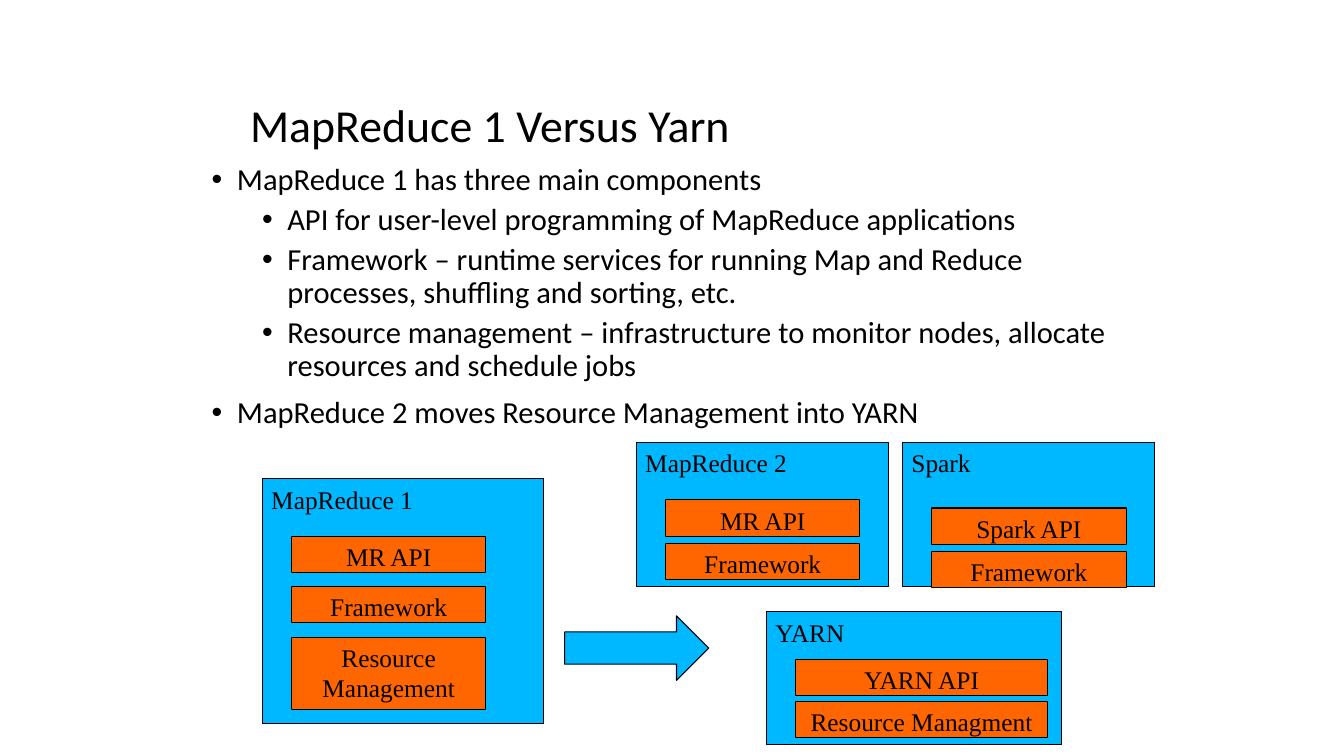
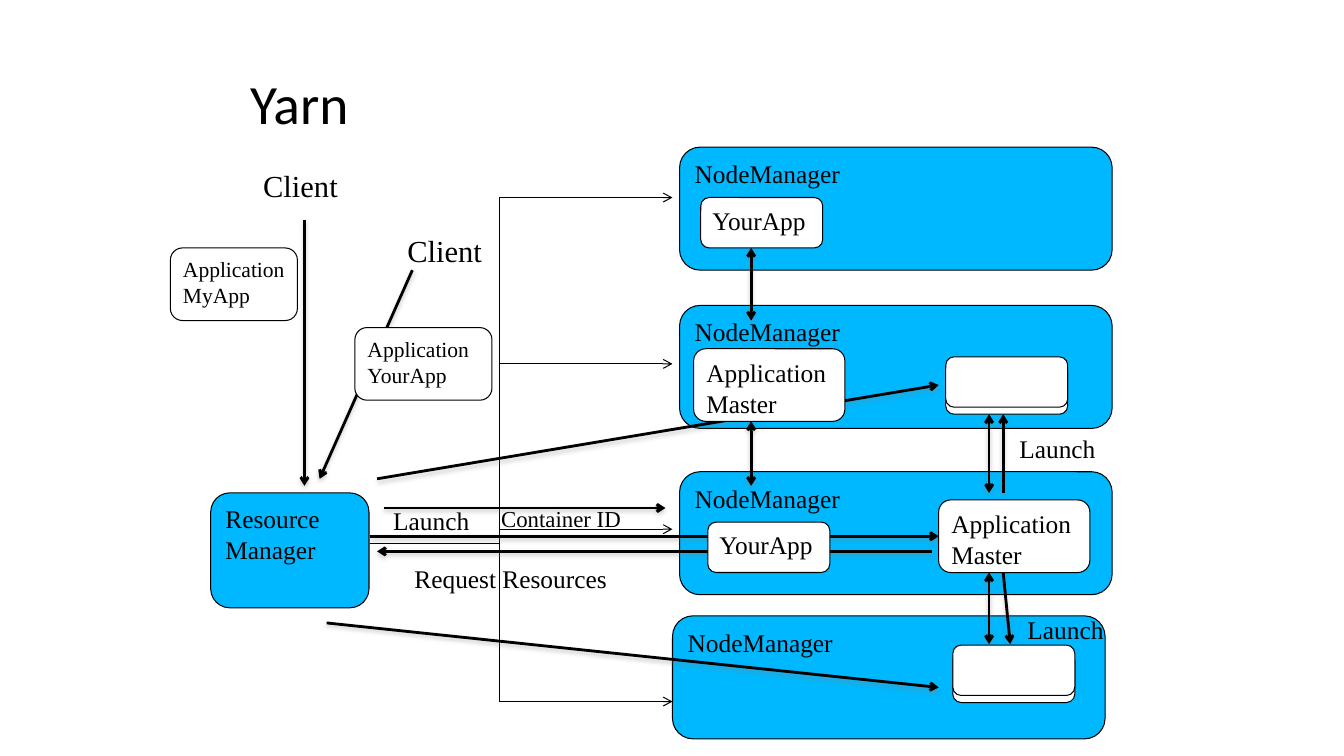
from lxml import etree
from pptx import Presentation
from pptx.dml.color import RGBColor
from pptx.enum.shapes import MSO_CONNECTOR, MSO_SHAPE
from pptx.enum.text import MSO_ANCHOR, MSO_AUTO_SIZE, PP_ALIGN
from pptx.oxml.ns import qn
from pptx.util import Inches, Pt

# Shared style
BLACK, WHITE, BLUE, ORANGE, GREY = "000000", "FFFFFF", "00B8FF", "FF6600", "808080"
HEADING_FONT, DIAGRAM_FONT = "Calibri", "Times New Roman"
INSETS = {"margin_left": Inches(0.09), "margin_right": Inches(0.09),
          "margin_top": Inches(0.05), "margin_bottom": Inches(0.05)}
BOX_FRAME = {"word_wrap": True, "vertical_anchor": MSO_ANCHOR.TOP, **INSETS}
LABEL_FRAME = {"word_wrap": False, "vertical_anchor": MSO_ANCHOR.TOP, **INSETS}
TITLE_FRAME = {"auto_size": MSO_AUTO_SIZE.NONE, "vertical_anchor": MSO_ANCHOR.MIDDLE}
BODY_FRAME = {"auto_size": MSO_AUTO_SIZE.NONE, "vertical_anchor": MSO_ANCHOR.TOP}
TITLE_LAYOUT, BODY_LAYOUT = 5, 1

# Slide 1 content
COMPARISON_TITLE = "MapReduce 1 Versus Yarn"
BULLETS = [
    (0, "MapReduce 1 has three main components"),
    (1, "API for user-level programming of MapReduce applications"),
    (1, "Framework – runtime services for running Map and Reduce processes, "
        "shuffling and sorting, etc."),
    (1, "Resource management – infrastructure to monitor nodes, allocate "
        "resources and schedule jobs"),
    (0, "MapReduce 2 moves Resource Management into YARN"),
]
# Name, outer box, first part offset, part pitch, part width, parts (text, height)
STACKS = [
    ("MapReduce 1", (2.6, 4.75, 2.79, 2.43), 0.57, 0.5, 1.93,
     [("MR API", 0.36), ("Framework", 0.36), ("Resource Management", 0.72)]),
    ("MapReduce 2", (6.31, 4.39, 2.5, 1.43), 0.57, 0.43, 1.93,
     [("MR API", 0.36), ("Framework", 0.36)]),
    ("YARN", (7.6, 6.07, 2.93, 1.32), 0.47, 0.42, 2.5,
     [("YARN API", 0.36), ("Resource Managment", 0.36)]),
    ("Spark", (8.95, 4.39, 2.5, 1.43), 0.65, 0.43, 1.93,
     [("Spark API", 0.36), ("Framework", 0.36)]),
]
PART_INSET = 0.29
MIGRATION_ARROW = (5.6, 6.11, 1.43, 0.64)

# Slide 2 content
YARN_TITLE = "Yarn"
RESOURCE_MANAGER = ("Resource Manager", (2.09, 4.89, 1.57, 1.14))
NODE_SIZE = (4.29, 1.22)
NODES = [(6.74, 1.46), (6.74, 3.03), (6.74, 4.68), (6.67, 6.11)]
BUS_X, BUS_END, BUS_START = 4.95, 6.67, (3.67, 5.39)
BUS_ROWS = [1.96, 3.61, 5.25, 6.96]
ONE_WAY = [
    ((9.95, 4.89), (9.95, 4.11)), ((9.95, 5.68), (10.02, 6.39)),
    ((3.02, 2.18), (3.02, 4.82)), ((3.81, 5.04), (6.6, 5.04)),
    ((9.24, 5.47), (3.74, 5.47)), ((3.74, 4.75), (9.31, 3.82)),
    ((3.24, 6.18), (9.31, 6.82)), ((3.67, 5.32), (9.31, 5.32)),
    ((4.09, 2.68), (3.17, 4.75)),
]
TWO_WAY = [
    ((9.81, 4.11), (9.81, 4.89)), ((9.81, 5.68), (9.81, 6.39)),
    ((7.45, 2.46), (7.45, 3.18)), ((7.45, 4.18), (7.45, 4.82)),
]
CONTAINER_SIZE, CONTAINER_OFFSET = (1.21, 0.5), 0.07
CONTAINER_PAIRS = [(9.38, 3.54), (9.45, 6.4)]
PROCESSES = [
    ("Application Master", (9.31, 4.96, 1.5, 0.72), 18.1),
    ("Application Master", (6.88, 3.46, 1.5, 0.72), 18.1),
    ("Application MyApp", (1.69, 2.46, 1.26, 0.72), 15.4),
    ("Application YourApp", (3.52, 3.25, 1.36, 0.72), 15.4),
    ("YourApp", (6.95, 1.96, *CONTAINER_SIZE), 18.1),
    ("YourApp", (7.02, 5.18, *CONTAINER_SIZE), 18.1),
]
LABELS = [
    ("Client", (2.52, 1.61, 0.93, 0.46), 21.8),
    ("Client", (3.95, 2.25, 0.93, 0.46), 21.8),
    ("Launch", (3.81, 4.96, 0.95, 0.4), 18.1),
    ("Launch", (10.02, 4.25, 0.95, 0.4), 18.1),
    ("Launch", (10.1, 6.04, 0.95, 0.4), 18.1),
    ("Request Resources", (4.02, 5.54, 2.11, 0.4), 18.1),
    ("Container ID", (4.88, 4.96, 1.38, 0.37), 16.3),
]


def colour(hex_value):
    return RGBColor.from_string(hex_value)


def set_all(target, values):
    for name, value in values.items():
        setattr(target, name, value)


def inches(values):
    return [Inches(value) for value in values]


def move(shape, box):
    set_all(shape, dict(zip(("left", "top", "width", "height"), inches(box))))


def write(paragraph, text, size, font=DIAGRAM_FONT, align=PP_ALIGN.LEFT):
    paragraph.alignment = align
    run = paragraph.add_run()
    run.text = text
    set_all(run.font, {"size": Pt(size), "name": font})
    run.font.color.rgb = colour(BLACK)


def add_slide(presentation, layout, title, top, size):
    slide = presentation.slides.add_slide(presentation.slide_layouts[layout])
    shape = slide.shapes.title
    move(shape, (2.38, top, 8.9, 0.76))
    set_all(shape.text_frame, TITLE_FRAME)
    paragraph = shape.text_frame.paragraphs[0]
    paragraph.line_spacing = 0.9
    write(paragraph, title, size, HEADING_FONT)
    return slide


def add_bullets(shape, items):
    move(shape, (2, 1.58, 9.45, 5.38))
    frame = shape.text_frame
    set_all(frame, BODY_FRAME)
    for index, (level, text) in enumerate(items):
        paragraph = frame.add_paragraph() if index else frame.paragraphs[0]
        properties = paragraph._p.get_or_add_pPr()
        properties.set("marL", str(Inches(0.25 + 0.5 * level)))
        properties.set("indent", str(Inches(-0.25)))
        etree.SubElement(properties, qn("a:buChar"), char="•")
        before = (5 if level else 10) if index else 0
        set_all(paragraph, {"level": level, "line_spacing": 0.9,
                            "space_before": Pt(before), "space_after": Pt(0)})
        write(paragraph, text, 21.8, HEADING_FONT)


def add_box(slide, kind, box, fill, text="", size=18.1, align=PP_ALIGN.LEFT):
    shape = slide.shapes.add_shape(kind, *inches(box))
    shape.shadow.inherit = False
    shape.fill.solid()
    shape.fill.fore_color.rgb = colour(fill)
    shape.line.color.rgb = colour(BLACK)
    shape.line.width = Pt(0.75)
    if text:
        set_all(shape.text_frame, BOX_FRAME)
        write(shape.text_frame.paragraphs[0], text, size, align=align)


def add_label(slide, text, box, size):
    frame = slide.shapes.add_textbox(*inches(box)).text_frame
    set_all(frame, LABEL_FRAME)
    write(frame.paragraphs[0], text, size)


def add_line(slide, start, end, width=0.75, ends=(), shadow=False):
    connector = slide.shapes.add_connector(
        MSO_CONNECTOR.STRAIGHT, *inches(start + end))
    connector.line.color.rgb = colour(BLACK)
    connector.line.width = Pt(width)
    for end_name in ends:
        etree.SubElement(connector.line._get_or_add_ln(), qn(f"a:{end_name}"),
                         type="arrow")
    effects = etree.SubElement(connector._element.spPr, qn("a:effectLst"))
    if shadow:
        outer = etree.SubElement(
            effects, qn("a:outerShdw"), blurRad=str(Pt(3.1)), dist=str(Pt(1.6)),
            dir="5400000", algn="ctr", rotWithShape="0")
        tint = etree.SubElement(outer, qn("a:srgbClr"), val=GREY)
        etree.SubElement(tint, qn("a:alpha"), val="38000")


def build_comparison(presentation):
    slide = add_slide(presentation, BODY_LAYOUT, COMPARISON_TITLE, 0.89, 32.7)
    add_bullets(slide.placeholders[1], BULLETS)
    for name, box, offset, pitch, width, parts in STACKS:
        add_box(slide, MSO_SHAPE.RECTANGLE, box, BLUE, name)
        for row, (text, height) in enumerate(parts):
            part = (box[0] + PART_INSET, box[1] + offset + row * pitch, width, height)
            add_box(slide, MSO_SHAPE.RECTANGLE, part, ORANGE, text,
                    align=PP_ALIGN.CENTER)
    add_box(slide, MSO_SHAPE.RIGHT_ARROW, MIGRATION_ARROW, BLUE)


def build_yarn(presentation):
    slide = add_slide(presentation, TITLE_LAYOUT, YARN_TITLE, 0.68, 39.6)
    rounded = MSO_SHAPE.ROUNDED_RECTANGLE
    # Managers
    name, box = RESOURCE_MANAGER
    add_box(slide, rounded, box, BLUE, name)
    for corner in NODES:
        add_box(slide, rounded, corner + NODE_SIZE, BLUE, "NodeManager")
    # Bus from the resource manager to every node
    add_line(slide, BUS_START, (BUS_X, BUS_START[1]))
    add_line(slide, (BUS_X, BUS_ROWS[-1]), (BUS_X, BUS_ROWS[0]))
    for row in BUS_ROWS:
        add_line(slide, (BUS_X, row), (BUS_END, row), ends=("tailEnd",))
    # Message arrows
    for arrows, ends in ((ONE_WAY, ("tailEnd",)), (TWO_WAY, ("headEnd", "tailEnd"))):
        for start, end in arrows:
            add_line(slide, start, end, 2, ends, shadow=True)
    # Containers, processes and labels
    for left, top in CONTAINER_PAIRS:
        for shift in (CONTAINER_OFFSET, 0):
            add_box(slide, rounded, (left, top + shift, *CONTAINER_SIZE), WHITE)
    for text, box, size in PROCESSES:
        add_box(slide, rounded, box, WHITE, text, size)
    for text, box, size in LABELS:
        add_label(slide, text, box, size)


def main():
    presentation = Presentation()
    set_all(presentation, {"slide_width": Inches(13.33), "slide_height": Inches(7.5)})
    build_comparison(presentation)
    build_yarn(presentation)
    presentation.save("out.pptx")


if __name__ == "__main__":
    main()
